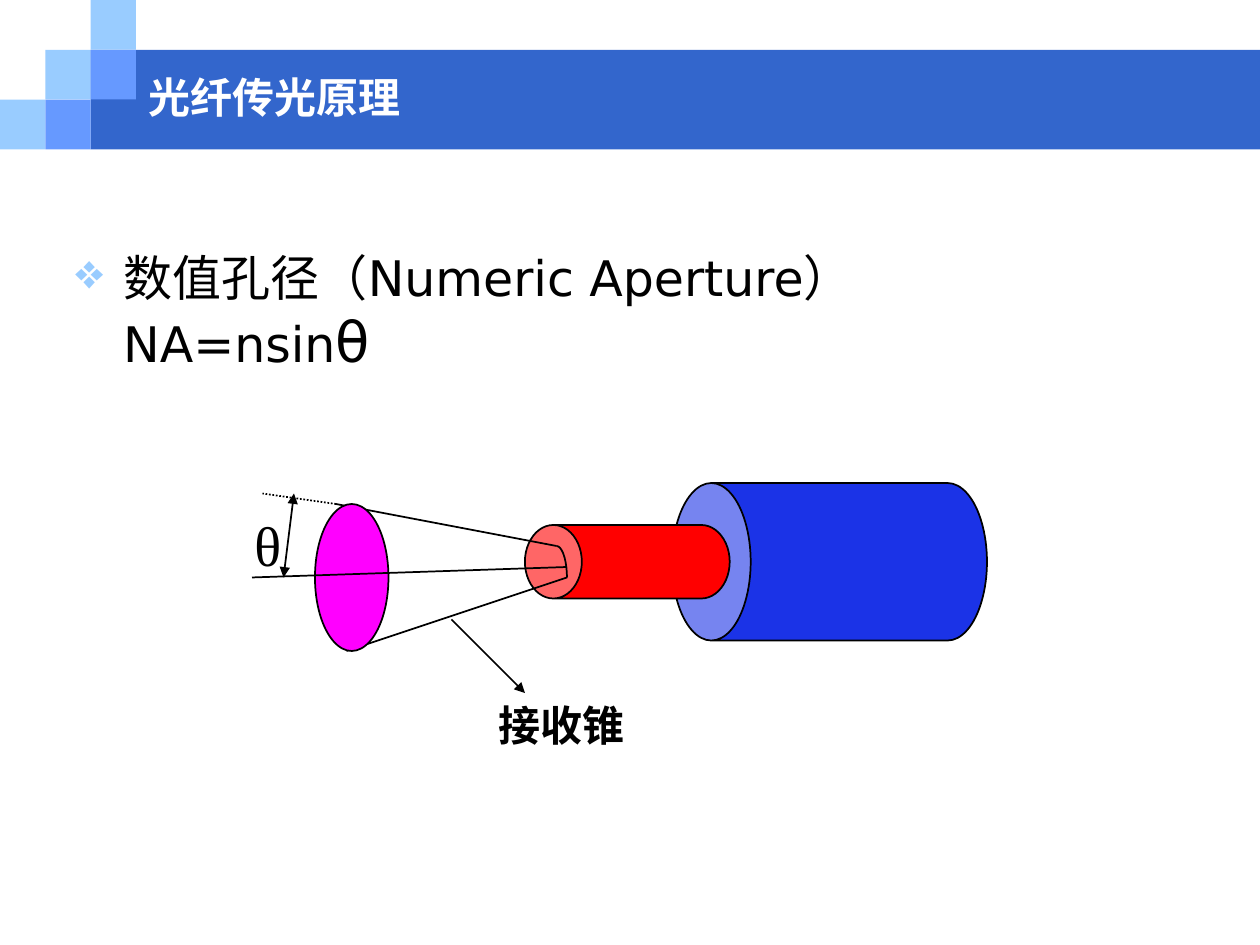
from dataclasses import dataclass
from math import cos, pi, sin

from lxml.etree import SubElement
from pptx import Presentation
from pptx.dml.color import RGBColor
from pptx.enum.dml import MSO_LINE
from pptx.enum.shapes import MSO_CONNECTOR, MSO_SHAPE
from pptx.enum.text import MSO_ANCHOR, PP_ALIGN
from pptx.oxml.ns import qn
from pptx.util import Inches, Pt


@dataclass(frozen=True)
class Theme:
    band: str = "3366CC"
    light_tile: str = "99CCFF"
    dark_tile: str = "6699FF"
    cladding: str = "1B33E7"
    core: str = "FF0000"
    cone: str = "FF00FF"
    ink: str = "000000"
    paper: str = "FFFFFF"
    title_font: str = "Arial"
    body_font: str = "DejaVu Sans"
    label_font: str = "Times New Roman"
    title_size: int = 24
    body_size: int = 28
    symbol_size: int = 32
    outline: int = 1


class SlideBuilder:
    """Draws on one slide; lengths are cells of a 120 by 90 grid."""

    columns, rows = 120, 90

    def __init__(self, presentation, theme):
        self.theme = theme
        self.cell_width = presentation.slide_width / self.columns
        self.cell_height = presentation.slide_height / self.rows
        self.slide = presentation.slides.add_slide(presentation.slide_layouts[6])

    def place(self, column, row):
        return round(column * self.cell_width), round(row * self.cell_height)

    def outline(self, shape):
        shape.line.color.rgb = RGBColor.from_string(self.theme.ink)
        shape.line.width = Pt(self.theme.outline)

    def shape(self, kind, box, fill, outlined=True):
        shape = self.slide.shapes.add_shape(kind, *self.place(*box[:2]), *self.place(*box[2:]))
        shape.shadow.inherit = False
        shape.fill.solid()
        shape.fill.fore_color.rgb = RGBColor.from_string(fill)
        if outlined:
            self.outline(shape)
        else:
            shape.line.fill.background()
        return shape

    def cylinder(self, box, fill, depth):
        """A can lying on its side; box is given before the turn."""
        cylinder = self.shape(MSO_SHAPE.CAN, box, fill)
        cylinder.rotation = 270
        cylinder.adjustments[0] = depth

    def line(self, start, end, arrows=(), dash=None):
        line = self.slide.shapes.add_connector(
            MSO_CONNECTOR.STRAIGHT, *self.place(*start), *self.place(*end))
        self.outline(line)
        if dash:
            line.line.dash_style = dash
        properties = line._element.spPr
        for arrow in arrows:
            SubElement(properties.find(qn("a:ln")), qn(f"a:{arrow}"), type="triangle")
        SubElement(properties, qn("a:effectLst"))

    def quarter_arc(self, center, radii, steps=12):
        """An open arc from the top of an ellipse to its right end."""
        angles = [pi / 2 * step / steps for step in range(steps + 1)]
        points = [self.place(center[0] + radii[0] * sin(angle),
                             center[1] - radii[1] * cos(angle)) for angle in angles]
        builder = self.slide.shapes.build_freeform(*points[0])
        builder.add_line_segments(points[1:], close=False)
        arc = builder.convert_to_shape()
        arc.shadow.inherit = False
        arc.fill.background()
        self.outline(arc)

    def text(self, box, font, size, color, text="", bold=False,
             align=PP_ALIGN.LEFT, anchor=MSO_ANCHOR.TOP, wrap=True, bullet=None):
        """Adds a one-paragraph text box and returns the paragraph."""
        frame = self.slide.shapes.add_textbox(
            *self.place(*box[:2]), *self.place(*box[2:])).text_frame
        frame.word_wrap = wrap
        frame.vertical_anchor = anchor
        paragraph = frame.paragraphs[0]
        if bullet:
            properties = paragraph._p.get_or_add_pPr()
            properties.set("marL", str(Inches(0.38)))
            properties.set("indent", str(-Inches(0.38)))
            bullet_color = SubElement(properties, qn("a:buClr"))
            SubElement(bullet_color, qn("a:srgbClr"), val=self.theme.light_tile)
            SubElement(properties, qn("a:buChar"), char=bullet)
        paragraph.alignment = align
        paragraph.font.name = font
        paragraph.font.size = Pt(size)
        paragraph.font.bold = bold
        paragraph.font.color.rgb = RGBColor.from_string(color)
        if text:
            paragraph.add_run().text = text
        return paragraph


def draw_header(builder):
    theme = builder.theme
    width, height = 4.32, 4.74
    builder.shape(MSO_SHAPE.RECTANGLE,
                  (2 * width, height, builder.columns - 2 * width, 2 * height),
                  theme.band, outlined=False)
    for column, row in ((0, 2), (1, 1), (2, 0), (2, 1), (1, 2)):
        fill = theme.light_tile if column + row == 2 else theme.dark_tile
        builder.shape(MSO_SHAPE.RECTANGLE, (column * width, row * height, width, height),
                      fill, outlined=False)


def draw_definition(builder):
    theme = builder.theme
    paragraph = builder.text((6, 23, 108, 55), theme.body_font, theme.body_size, theme.ink,
                             "数值孔径（Numeric Aperture）", bullet="❖")
    paragraph.add_line_break()
    paragraph.add_run().text = "NA=nsin"
    theta = paragraph.add_run()
    theta.text = "θ"
    theta.font.size = Pt(theme.symbol_size)


def draw_fiber(builder):
    theme = builder.theme
    builder.cylinder((71.5, 38.5, 15, 30), theme.cladding, 0.5)
    builder.cylinder((56.25, 43.75, 7, 19.5), theme.core, 0.774)

    builder.line((32, 48), (53, 52))
    builder.line((54, 55), (33, 62))
    builder.quarter_arc((53, 55), (1, 3))
    builder.shape(MSO_SHAPE.OVAL, (30, 48, 7, 14), theme.cone)

    builder.line((32, 48), (25, 47), dash=MSO_LINE.ROUND_DOT)
    builder.line((24, 55), (54, 54))
    builder.line((28, 47), (27, 55), arrows=("headEnd", "tailEnd"))
    builder.text((23, 48, 5, 7.5), theme.label_font, theme.symbol_size, theme.ink, "θ",
                 align=PP_ALIGN.CENTER, wrap=False)
    builder.line((43, 59), (50, 66), arrows=("tailEnd",))
    builder.text((40, 66, 27, 6), theme.label_font, theme.title_size, theme.ink, "接收锥",
                 bold=True, align=PP_ALIGN.CENTER)


def main():
    presentation = Presentation()
    presentation.slide_width, presentation.slide_height = Inches(10), Inches(7.5)
    theme = Theme()
    builder = SlideBuilder(presentation, theme)
    draw_header(builder)
    draw_definition(builder)
    draw_fiber(builder)
    builder.text((13, 6, 97, 6.4), theme.title_font, theme.title_size, theme.paper,
                 "光纤传光原理", bold=True, anchor=MSO_ANCHOR.MIDDLE)
    presentation.save("out.pptx")


if __name__ == "__main__":
    main()
